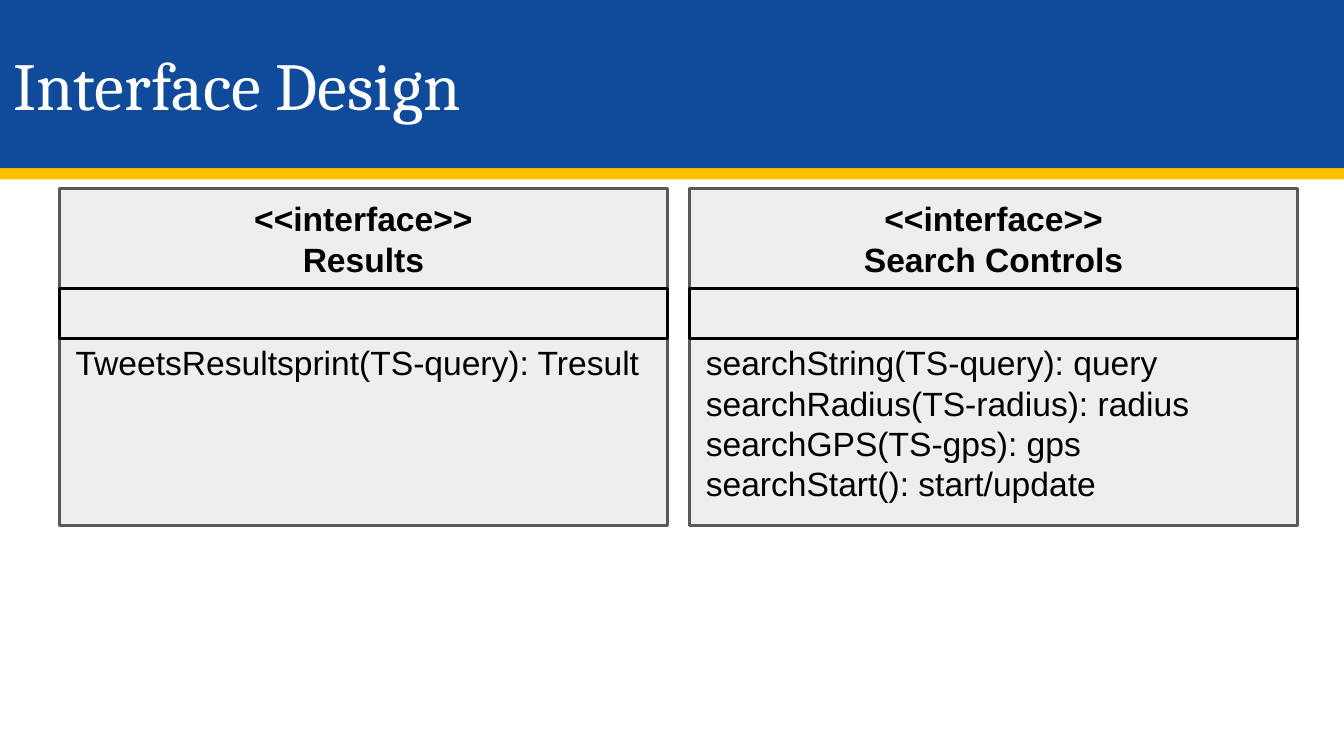
"""Builds the interface design slide with two UML interface cards."""
from lxml import etree
from pptx import Presentation
from pptx.dml.color import RGBColor
from pptx.enum.shapes import MSO_SHAPE
from pptx.enum.text import MSO_ANCHOR, PP_ALIGN
from pptx.oxml.ns import qn
from pptx.util import Cm, Pt

TITLE = "Interface Design"
INTERFACES = [
    ("Results", ["TweetsResultsprint(TS-query): Tresult"]),
    ("Search Controls", [
        "searchString(TS-query): query",
        "searchRadius(TS-radius): radius",
        "searchGPS(TS-gps): gps",
        "searchStart(): start/update",
    ]),
]

BLUE = RGBColor(0x0F, 0x4B, 0x9A)
GOLD = RGBColor(0xFF, 0xC0, 0x00)
PALE = RGBColor(0xEE, 0xEE, 0xEE)
GREY = RGBColor(0x59, 0x59, 0x59)
BLACK = RGBColor(0, 0, 0)
WHITE = RGBColor(0xFF, 0xFF, 0xFF)
RECTANGLE = MSO_SHAPE.RECTANGLE
MIDDLE, TOP = MSO_ANCHOR.MIDDLE, MSO_ANCHOR.TOP
LEFT, CENTER = PP_ALIGN.LEFT, PP_ALIGN.CENTER

SLIDE_WIDTH, SLIDE_HEIGHT = 25.4, 14.29
BANNER_HEIGHT = 3.18
CARD_LEFT, CARD_WIDTH, CARD_PITCH = 1.12, 11.5, 11.91
NAME_TOP, NAME_HEIGHT = 3.56, 1.9
BODY_TOP, BODY_HEIGHT = 4.72, 5.21
FIELDS_TOP, FIELDS_HEIGHT = NAME_TOP + NAME_HEIGHT, 0.94
METHODS_TOP, METHODS_HEIGHT, METHODS_INDENT = 6.22, 2.21, 0.06
INSET = 0.25


def add_box(slide, left, top, width, height, fill=None, line=None):
    box = slide.shapes.add_shape(RECTANGLE, Cm(left), Cm(top), Cm(width), Cm(height))
    box.shadow.inherit = False
    if fill is None:
        box.fill.background()
    else:
        box.fill.solid()
        box.fill.fore_color.rgb = fill
    if line is None:
        box.line.fill.background()
    else:
        box.line.color.rgb = line
        box.line.width = Pt(1.5)
    return box


def write(shape, lines, font="Arial", size=18, color=BLACK, bold=False,
          align=LEFT, anchor=TOP, inset=INSET):
    frame = shape.text_frame
    frame.word_wrap = True
    frame.vertical_anchor = anchor
    frame.margin_left = frame.margin_right = Cm(INSET)
    frame.margin_top = frame.margin_bottom = Cm(inset)
    frame.text = "\n".join(lines)
    for paragraph in frame.paragraphs:
        paragraph.alignment = align
        paragraph.font.name = font
        paragraph.font.size = Pt(size)
        paragraph.font.bold = bold
        paragraph.font.color.rgb = color


def add_shadow_below(shape, color, distance):
    effects = shape._element.spPr.find(qn("a:effectLst"))
    shadow = etree.SubElement(effects, qn("a:outerShdw"), dist=str(distance),
                              dir="5400000", algn="t", rotWithShape="0")
    etree.SubElement(shadow, qn("a:srgbClr"), val=str(color))


def add_interface(slide, left, name, methods):
    add_box(slide, left, BODY_TOP, CARD_WIDTH, BODY_HEIGHT, PALE, GREY)
    heading = add_box(slide, left, NAME_TOP, CARD_WIDTH, NAME_HEIGHT, PALE, GREY)
    write(heading, ["<<interface>>", name], bold=True, align=CENTER, anchor=MIDDLE)
    listing = slide.shapes.add_textbox(Cm(left + METHODS_INDENT), Cm(METHODS_TOP),
                                       Cm(CARD_WIDTH), Cm(METHODS_HEIGHT))
    write(listing, methods)
    add_box(slide, left, FIELDS_TOP, CARD_WIDTH, FIELDS_HEIGHT, line=BLACK)


def main():
    deck = Presentation()
    deck.slide_width, deck.slide_height = Cm(SLIDE_WIDTH), Cm(SLIDE_HEIGHT)
    slide = deck.slides.add_slide(deck.slide_layouts[6])

    banner = add_box(slide, 0, 0, SLIDE_WIDTH, BANNER_HEIGHT, BLUE)
    add_shadow_below(banner, GOLD, Pt(6))
    write(banner, [TITLE], "Cambria", 36, WHITE, anchor=MIDDLE, inset=INSET / 2)

    for index, (name, methods) in enumerate(INTERFACES):
        add_interface(slide, CARD_LEFT + index * CARD_PITCH, name, methods)

    deck.save("out.pptx")


if __name__ == "__main__":
    main()
